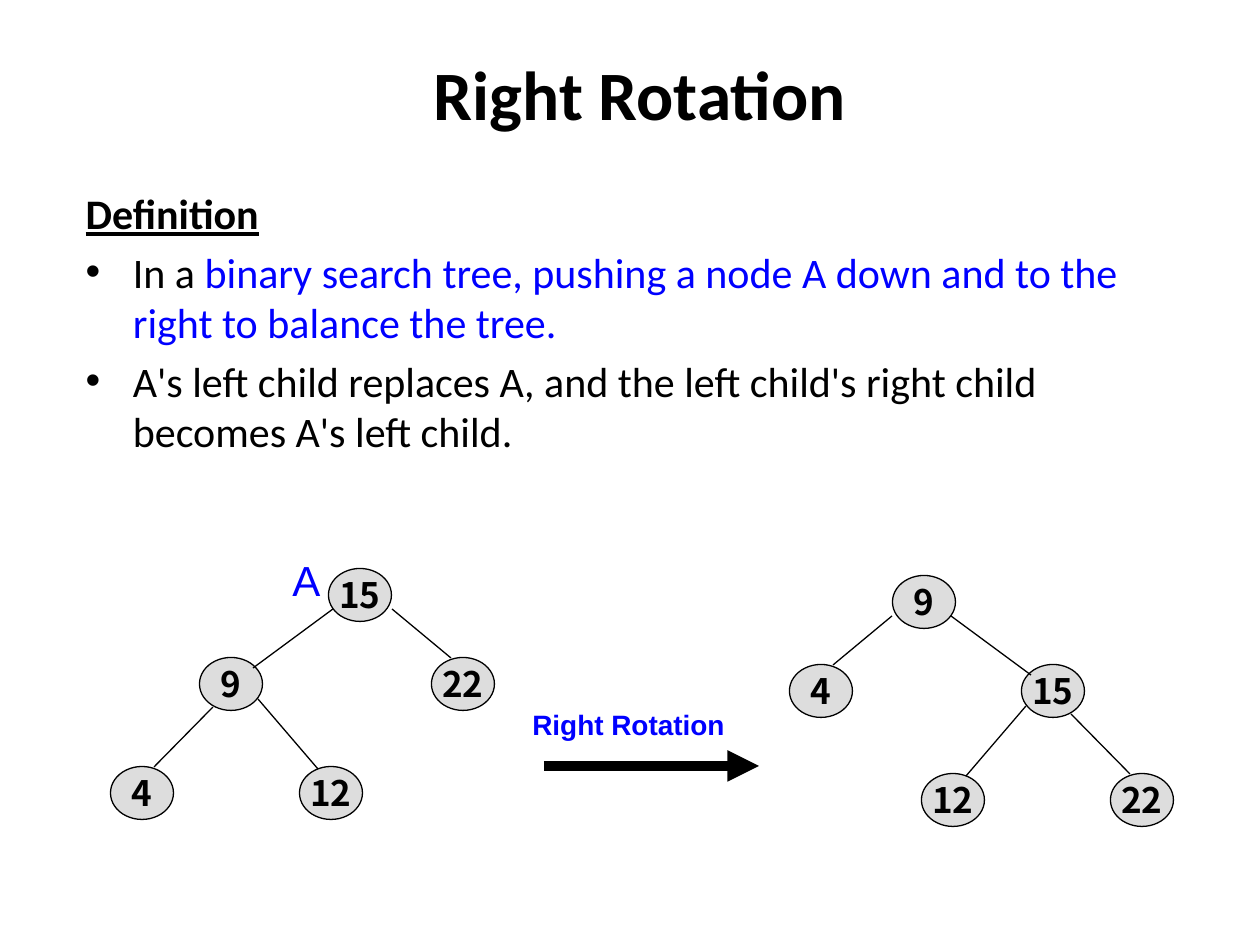
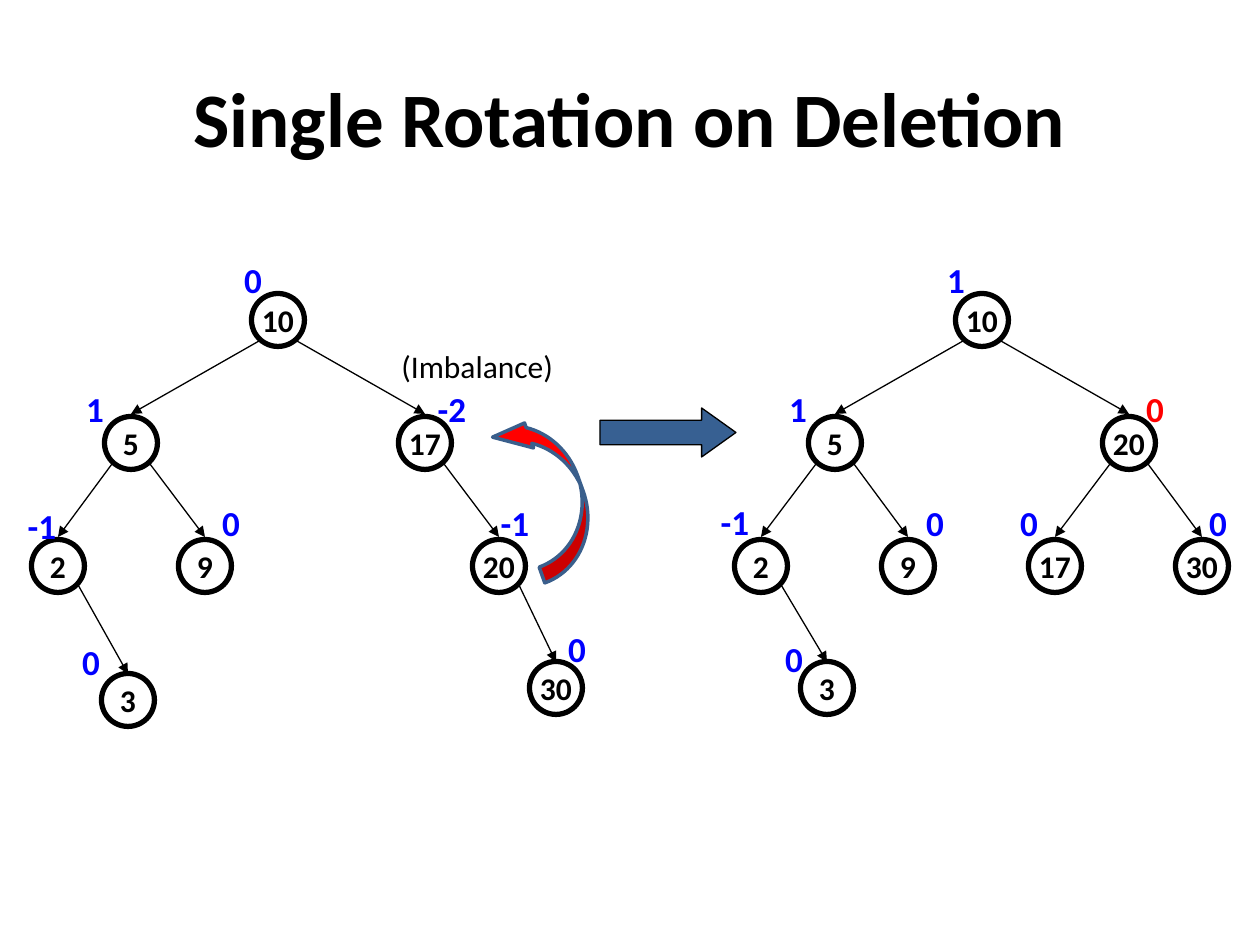
import pptx
import pptx.dml.color
import pptx.enum.shapes
import pptx.enum.text
import pptx.oxml
import pptx.oxml.ns
import pptx.util

SHAPE = pptx.enum.shapes.MSO_SHAPE
ALIGN = pptx.enum.text.PP_ALIGN
ANCHOR = pptx.enum.text.MSO_ANCHOR
FIT = pptx.enum.text.MSO_AUTO_SIZE
SCALE = 914400 / 126
COLORS = {
    "black": "000000", "blue": "0000FF", "red": "FF0000",
    "grey": "DDDDDD", "steel": "376092", "outline": "3A5F8C",
}
FORMATS = {
    "title": {"name": "Calibri", "size": 44, "bold": True},
    "heading": {"name": "Calibri", "size": 24, "bold": True, "underline": True},
    "body": {"name": "Calibri", "size": 24},
    "oval": {"name": "Noto Sans CJK KR", "size": 20, "bold": True},
    "circle": {"name": "Calibri", "size": 18, "bold": True},
    "balance": {"name": "Calibri", "size": 20, "bold": True},
    "note": {"name": "Calibri", "size": 18},
    "caption": {"name": "Arial", "size": 16, "bold": True},
    "mark": {"name": "Arial", "size": 24},
}


def px(n):
    return pptx.util.Emu(round(n * SCALE))


def rgb(color):
    return pptx.dml.color.RGBColor.from_string(COLORS[color])


class Deck:
    """Holds the presentation, its style and the current slide."""

    def __init__(self):
        self.prs = pptx.Presentation()
        self.prs.slide_width = px(1260)
        self.prs.slide_height = px(945)

    def place(self, sp, box):
        for attr, n in zip(("left", "top", "width", "height"), box):
            setattr(sp, attr, px(n))

    def run(self, p, text, style, color="black", **extra):
        r = p.add_run()
        r.text = text
        for attr, value in {**FORMATS[style], **extra}.items():
            setattr(r.font, attr, pptx.util.Pt(value) if attr == "size" else value)
        r.font.color.rgb = rgb(color)

    def slide(self, layout, title, box, **extra):
        self.s = self.prs.slides.add_slide(self.prs.slide_layouts[layout])
        sp = self.s.shapes.title
        self.place(sp, box)
        sp.text_frame.auto_size = FIT.NONE
        self.run(sp.text_frame.paragraphs[0], title, "title", **extra)

    def body(self, box, heading, items):
        sp = self.s.placeholders[1]
        self.place(sp, box)
        tf = sp.text_frame
        tf.auto_size = FIT.NONE
        p = tf.paragraphs[0]
        p._p.get_or_add_pPr().append(pptx.oxml.parse_xml(
            f'<a:buNone {pptx.oxml.ns.nsdecls("a")}/>'))
        self.run(p, heading, "heading")
        for item in items:
            p = tf.add_paragraph()
            for text, color in item:
                self.run(p, text, "body", color)

    def text(self, box, text, style, color="black", align=ALIGN.LEFT, wrap=False):
        sp = self.s.shapes.add_textbox(*map(px, box))
        tf = sp.text_frame
        tf.word_wrap = wrap
        tf.auto_size = FIT.SHAPE_TO_FIT_TEXT
        p = tf.paragraphs[0]
        p.alignment = align
        self.run(p, text, style, color)

    def shape(self, kind, box, fill=None, line="black", width=0.75, adj=()):
        sp = self.s.shapes.add_shape(kind, *map(px, box))
        sp.shadow.inherit = False
        if fill:
            sp.fill.solid()
            sp.fill.fore_color.rgb = rgb(fill)
        else:
            sp.fill.background()
        sp.line.color.rgb = rgb(line)
        sp.line.width = pptx.util.Pt(width)
        for i, value in enumerate(adj):
            sp.adjustments[i] = value
        return sp

    def node(self, x, y, w, h, key, style, **look):
        sp = self.shape(SHAPE.OVAL, (x - w / 2, y - h / 2, w, h), **look)
        tf = sp.text_frame
        tf.word_wrap = False
        tf.vertical_anchor = ANCHOR.MIDDLE
        p = tf.paragraphs[0]
        p.alignment = ALIGN.CENTER
        self.run(p, key, style)

    def line(self, x1, y1, x2, y2, width=0.75, arrow=False):
        sp = self.s.shapes.add_connector(
            pptx.enum.shapes.MSO_CONNECTOR.STRAIGHT, *map(px, (x1, y1, x2, y2)))
        sp.line.color.rgb = rgb("black")
        sp.line.width = pptx.util.Pt(width)
        ns = pptx.oxml.ns.nsdecls("a")
        if arrow:
            sp.line._get_or_add_ln().append(
                pptx.oxml.parse_xml(f'<a:tailEnd {ns} type="triangle"/>'))
        sp._element.spPr.append(pptx.oxml.parse_xml(f"<a:effectLst {ns}/>"))

    def plain_tree(self, keys, place):
        for key, spot in zip(keys, OVALS):
            self.node(*place(*spot), 63, 53, key, "oval", fill="grey")
        for x1, y1, x2, y2 in BRANCHES:
            self.line(*place(x1, y1), *place(x2, y2))

    def balance_tree(self, tree):
        spots = {key: (x, y) for key, x, y, *_ in tree}
        for key, x, y, parent, *_ in tree:
            self.node(x, y, 53, 53, key, "circle", width=3)
            if parent:
                x0, y0 = spots[parent]
                drop, gap = (17, 26) if y > 600 else (21, 29)
                side = 19 if x > x0 else -19
                self.line(x0 + side, y0 + drop, x, y - gap, arrow=True)
        for *_, balance, x, top, color in tree:
            w = 44 if len(balance) == 1 else 58
            self.text((x - w / 2, top, w, 55), balance, "balance", color, ALIGN.CENTER)


OVALS = [(360, 595), (463, 684), (231, 684), (331, 793), (142, 793)]
BRANCHES = [(392, 609, 451, 658), (333, 609, 253, 668),
            (258, 699, 318, 769), (213, 707, 154, 767)]
BEFORE = [
    ("10", 278, 320, None, "0", 253, 252, "blue"),
    ("5", 131, 443, "10", "1", 95, 381, "blue"),
    ("17", 425, 443, "10", "-2", 452, 381, "blue"),
    ("2", 58, 566, "5", "-1", 42, 498, "blue"),
    ("9", 205, 566, "5", "0", 231, 495, "blue"),
    ("20", 499, 566, "17", "-1", 515, 495, "blue"),
    ("30", 556, 688, "20", "0", 577, 621, "blue"),
    ("3", 128, 700, "2", "0", 91, 634, "blue"),
]
AFTER = [
    ("10", 982, 320, None, "1", 956, 252, "blue"),
    ("5", 835, 443, "10", "1", 798, 381, "blue"),
    ("20", 1129, 443, "10", "0", 1155, 381, "red"),
    ("2", 761, 566, "5", "-1", 735, 494, "blue"),
    ("9", 908, 566, "5", "0", 935, 495, "blue"),
    ("17", 1055, 566, "20", "0", 1029, 495, "blue"),
    ("30", 1202, 566, "20", "0", 1218, 495, "blue"),
    ("3", 827, 688, "2", "0", 794, 631, "blue"),
]

deck = Deck()

deck.slide(1, "Right Rotation", (73, 42, 1134, 101), size=39.6)
deck.body((73, 181, 1134, 312), "Definition", [
    [("In a ", "black"),
     ("binary search tree, pushing a node A down and to the right "
      "to balance the tree.", "blue")],
    [("A's left child replaces A, and the left child's right child "
      "becomes A's left child.", "black")],
])
deck.plain_tree(("15", "22", "9", "12", "4"), lambda x, y: (x, y))
deck.plain_tree(("9", "4", "15", "12", "22"), lambda x, y: (1284 - x, y + 7))
deck.text((280, 548, 59, 63), "A", "mark", "blue", wrap=True)
deck.text((520, 701, 238, 47), "Right Rotation", "caption", "blue", wrap=True)
deck.line(544, 766, 759, 766, width=6, arrow=True)

deck.slide(5, "Single Rotation on Deletion", (63, 38, 1134, 158))
deck.balance_tree(BEFORE)
deck.balance_tree(AFTER)
deck.shape(SHAPE.RIGHT_ARROW, (600, 408, 136, 49), fill="steel", adj=(0.5, 0.7))
turn = deck.shape(SHAPE.CURVED_UP_ARROW, (464, 459, 168, 67), fill="red",
                  line="outline", width=2, adj=(0.25, 0.395, 0.52))
turn.rotation = 250.3
deck.text((389, 341, 179, 50), "(Imbalance)", "note")

deck.prs.save("out.pptx")
